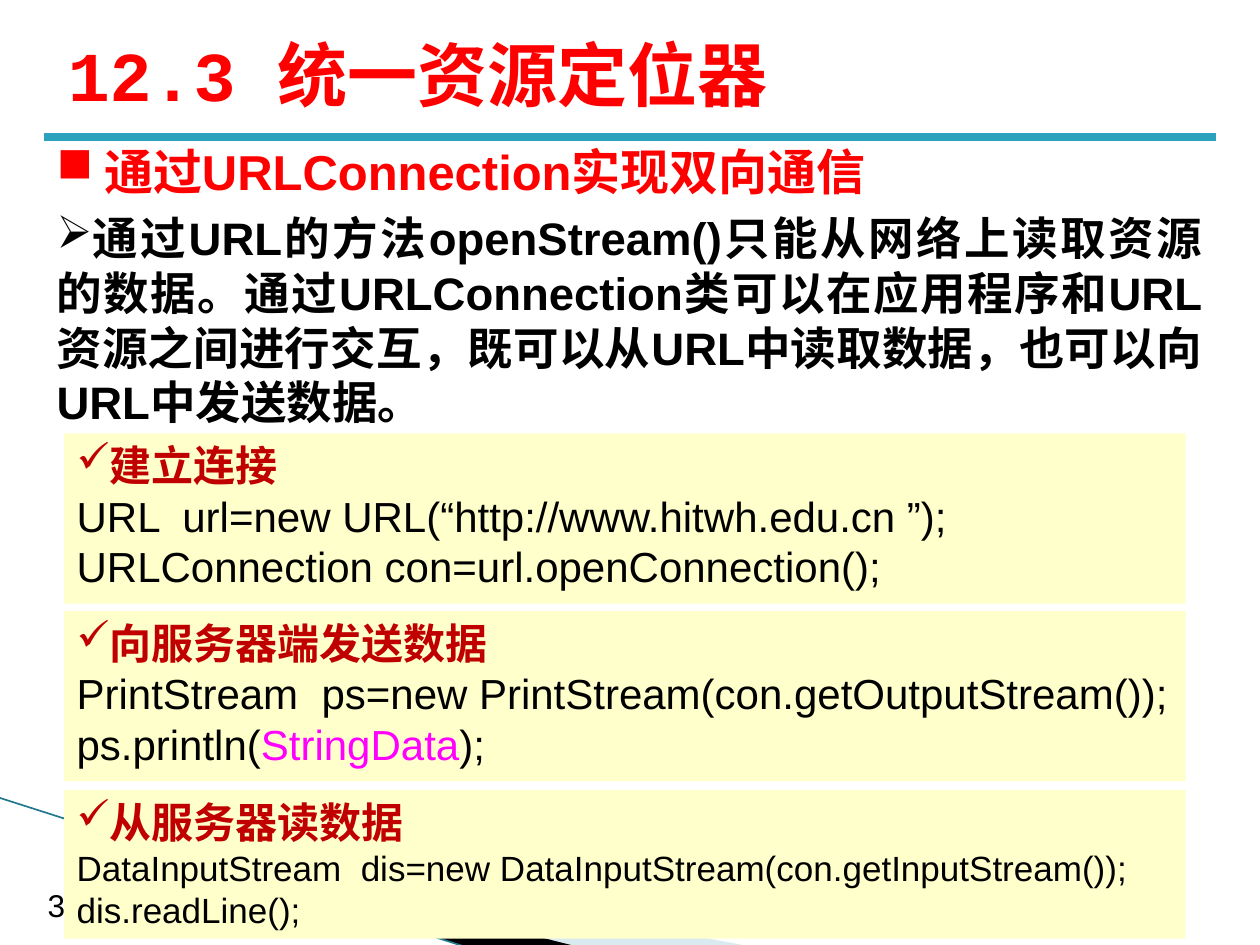
from dataclasses import dataclass

import pptx
import pptx.dml.color
import pptx.enum.shapes
import pptx.enum.text
import pptx.oxml.ns
import pptx.util
from lxml import etree

Inches = pptx.util.Inches
Pt = pptx.util.Pt
PP_ALIGN = pptx.enum.text.PP_ALIGN
ANCHOR = pptx.enum.text.MSO_ANCHOR
qn = pptx.oxml.ns.qn


@dataclass(frozen=True)
class Theme:
    red: str = "FF0000"
    dark_red: str = "C00000"
    black: str = "000000"
    magenta: str = "FF00FF"
    panel: str = "FFFFCC"
    rule: str = "2DA2BF"
    swoosh: str = "A0CBDC"
    swoosh_line: str = "21798E"
    sans: str = "Arial"
    mono: str = "Courier New"
    title: int = 40
    topic: int = 28
    body: int = 26
    code: int = 24
    small_code: int = 20
    number: int = 18


T = Theme()


@dataclass(frozen=True)
class Run:
    text: str
    size: int
    color: str = T.black
    bold: bool = False
    name: str = T.sans


@dataclass(frozen=True)
class Para:
    runs: tuple[Run, ...]
    bullet: str = ""
    align: PP_ALIGN = PP_ALIGN.LEFT
    before: float = 0
    after: float = 0


@dataclass(frozen=True)
class Panel:
    top: float
    height: float
    heading: str
    code: tuple[tuple[Run, ...], ...]


def rgb(value: str) -> pptx.dml.color.RGBColor:
    return pptx.dml.color.RGBColor.from_string(value)


def write(s, paras: list[Para], anchor=ANCHOR.TOP, wrap: bool = True) -> None:
    tf = s.text_frame
    tf.word_wrap = wrap
    tf.vertical_anchor = anchor
    for i, para in enumerate(paras):
        p = tf.paragraphs[0] if i == 0 else tf.add_paragraph()
        formats = {"alignment": para.align, "space_after": Pt(para.after)}
        if i:
            formats["space_before"] = Pt(para.before)
        for key, value in formats.items():
            setattr(p, key, value)
        if para.bullet:
            etree.SubElement(p._p.get_or_add_pPr(), qn("a:buChar")).set("char", para.bullet)
        for run in para.runs:
            r = p.add_run()
            r.text = run.text
            for key in ("name", "bold"):
                setattr(r.font, key, getattr(run, key))
            r.font.size = Pt(run.size)
            r.font.color.rgb = rgb(run.color)


def add_text(shapes, box: tuple[float, ...], paras: list[Para], **options) -> None:
    write(shapes.add_textbox(*map(Inches, box)), paras, **options)


def add_line(shapes, ends: tuple[float, ...], color: str, width: float) -> None:
    s = shapes.add_connector(pptx.enum.shapes.MSO_CONNECTOR.STRAIGHT, *map(Inches, ends))
    s.line.color.rgb = rgb(color)
    s.line.width = Pt(width)
    etree.SubElement(s._element.spPr, qn("a:effectLst"))


def add_outline(shapes, points: list[tuple[float, float]], color: str, opacity: int = 100) -> None:
    start, *rest = [(Inches(x), Inches(y)) for x, y in points]
    builder = shapes.build_freeform(*start)
    builder.add_line_segments(rest)
    s = builder.convert_to_shape()
    s.shadow.inherit = False
    s.fill.solid()
    s.fill.fore_color.rgb = rgb(color)
    s.line.fill.background()
    if opacity < 100:
        clr = s._element.spPr.find(qn("a:solidFill"))[0]
        etree.SubElement(clr, qn("a:alpha")).set("val", str(opacity * 1000))


def add_panel(shapes, panel: Panel) -> None:
    s = shapes.add_shape(
        pptx.enum.shapes.MSO_SHAPE.RECTANGLE,
        Inches(0.51), Inches(panel.top), Inches(8.9), Inches(panel.height),
    )
    s.shadow.inherit = False
    s.fill.solid()
    s.fill.fore_color.rgb = rgb(T.panel)
    s.line.fill.background()
    heading = Para((Run(panel.heading, T.code, T.dark_red, True),), "✓")
    write(s, [heading, *(Para(runs) for runs in panel.code)])


PANELS = [
    Panel(3.44, 1.35, "建立连接", (
        (Run("URL  url=new URL(“http://www.hitwh.edu.cn ”);", T.code),),
        (Run("URLConnection con=url.openConnection();", T.code),),
    )),
    Panel(4.85, 1.35, "向服务器端发送数据", (
        (Run("PrintStream  ps=new PrintStream(con.getOutputStream());", T.code),),
        (Run("ps.println(", T.code), Run("StringData", T.code, T.magenta), Run(");", T.code)),
    )),
    Panel(6.27, 1.18, "从服务器读数据", (
        (Run("DataInputStream  dis=new DataInputStream(con.getInputStream());", T.small_code),),
        (Run("dis.readLine();", T.small_code),),
    )),
]

BODY = (
    "通过URL的方法openStream()只能从网络上读取资源的数据。"
    "通过URLConnection类可以在应用程序和URL资源之间进行交互，"
    "既可以从URL中读取数据，也可以向URL中发送数据。"
)


def main() -> None:
    prs = pptx.Presentation()
    prs.slide_width, prs.slide_height = Inches(10), Inches(7.5)
    shapes = prs.slides.add_slide(prs.slide_layouts[6]).shapes

    # Corner decoration and title rule
    add_outline(shapes, [(0.55, 6.51), (5.95, 7.51), (4.56, 7.51), (0.55, 6.5)], T.swoosh, 40)
    add_outline(shapes, [(0.53, 6.49), (4.57, 7.51), (3.72, 7.52), (0.54, 6.5)], T.black)
    add_line(shapes, (-0.01, 6.33, 3.71, 7.52), T.swoosh_line, 0.95)
    add_line(shapes, (0.35, 1.09, 9.65, 1.09), T.rule, 4.5)

    # Slide number and title
    add_text(shapes, (0.28, 6.98, 0.55, 0.4), [Para((Run("32", T.number),))], wrap=False)
    title = Run("12.3 统一资源定位器", T.title, T.red, True, T.mono)
    add_text(shapes, (0.44, 0.16, 9, 0.85), [Para((title,))], anchor=ANCHOR.MIDDLE)

    # Topic and explanation
    topic = Run(" 通过URLConnection实现双向通信", T.topic, T.red, True)
    body = Run(BODY, T.body, bold=True)
    add_text(shapes, (0.35, 1.07, 9.29, 2.41), [
        Para((run,), bullet, PP_ALIGN.JUSTIFY, 3, 3)
        for run, bullet in ((topic, "■"), (body, "➢"))
    ])

    # Code panels
    for panel in PANELS:
        add_panel(shapes, panel)

    prs.save("out.pptx")


if __name__ == "__main__":
    main()
